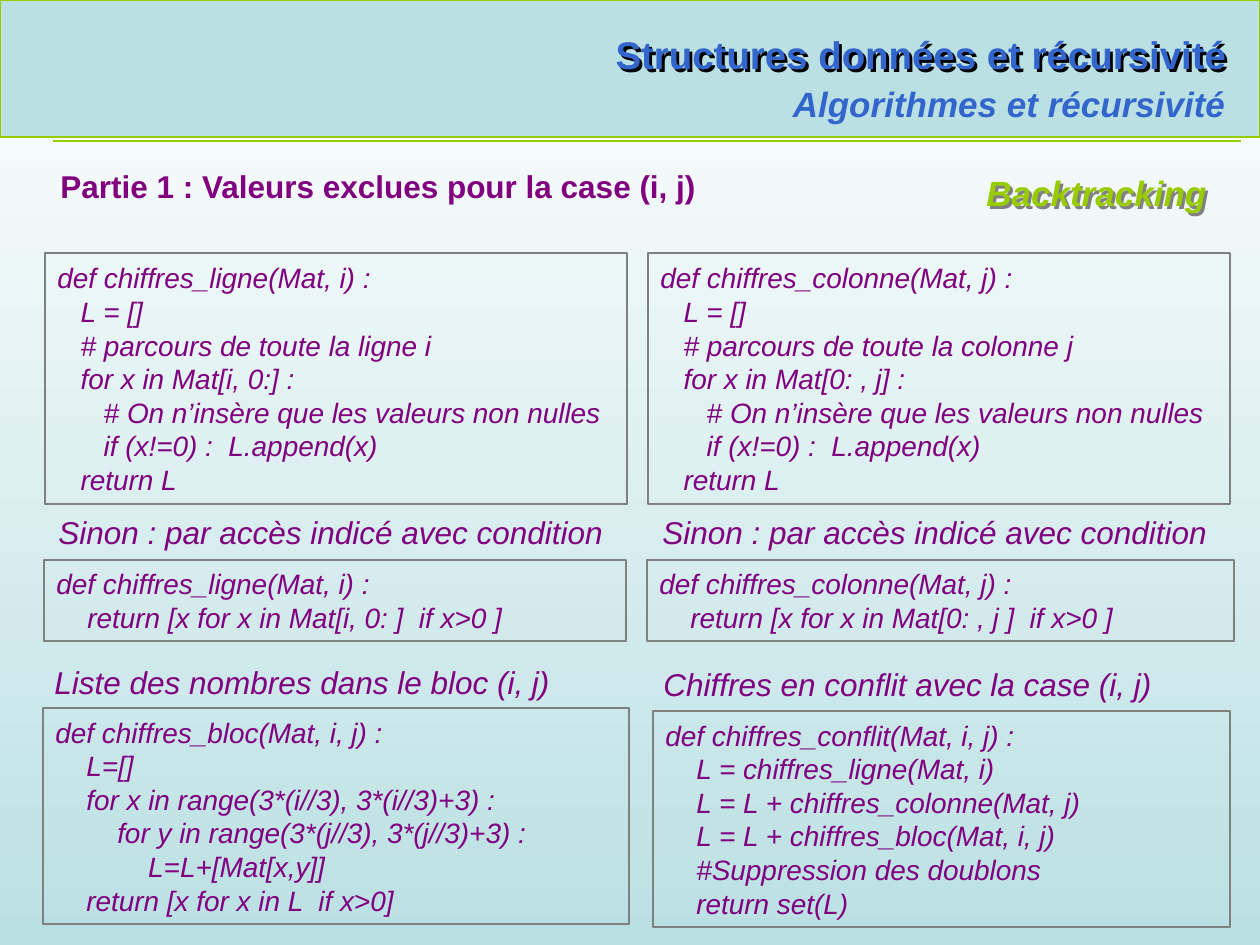
from dataclasses import dataclass

from lxml import etree
from pptx import Presentation
from pptx.dml.color import RGBColor
from pptx.enum.shapes import MSO_CONNECTOR, MSO_SHAPE
from pptx.enum.text import MSO_ANCHOR, MSO_AUTO_SIZE, PP_ALIGN
from pptx.oxml.ns import qn
from pptx.util import Pt

LEFT, RIGHT = PP_ALIGN.LEFT, PP_ALIGN.RIGHT
TOP, MIDDLE = MSO_ANCHOR.TOP, MSO_ANCHOR.MIDDLE
FIXED = MSO_AUTO_SIZE.NONE
RECT = MSO_SHAPE.RECTANGLE
STRAIGHT = MSO_CONNECTOR.STRAIGHT
SCALE = 914400 / 126


@dataclass(frozen=True)
class Theme:
    face: str = "Arial"
    white: str = "FFFFFF"
    sky: str = "BBE0E3"
    lime: str = "99CC00"
    blue: str = "3366CC"
    plum: str = "800080"
    gray: str = "808080"
    black: str = "000000"
    title: int = 22
    sub: int = 20
    head: int = 18
    code: int = 16
    thin: float = 0.75
    frame: float = 1.25


@dataclass(frozen=True)
class Box:
    x: int
    y: int
    w: int
    h: int


@dataclass(frozen=True)
class Label:
    box: Box
    text: str


@dataclass(frozen=True)
class Code:
    box: Box
    lines: list[str]


THEME = Theme()


def emu(px: int) -> int:
    return round(px * SCALE)


def rgb(value: str) -> RGBColor:
    return RGBColor.from_string(value)


def apply(item, form: dict) -> None:
    for key, value in form.items():
        setattr(item, key, value)


def place(shape, box: Box) -> None:
    apply(shape, {"left": emu(box.x), "top": emu(box.y),
                  "width": emu(box.w), "height": emu(box.h)})


def write(shape, lines: list[str], size: int, color: str, bold: bool = False,
          slant: bool = False, align=LEFT, anchor=TOP) -> None:
    frame = shape.text_frame
    apply(frame, {"word_wrap": True, "auto_size": FIXED,
                  "vertical_anchor": anchor})
    frame.text = "\n".join(lines)
    for para in frame.paragraphs:
        para.alignment = align
        for run in para.runs:
            apply(run.font, {"name": THEME.face, "size": Pt(size),
                             "bold": bold, "italic": slant})
            run.font.color.rgb = rgb(color)


def effects(shape):
    return etree.SubElement(shape._element.spPr, qn("a:effectLst"))


def shade(shape, color: str, gap: int) -> None:
    cast = etree.SubElement(effects(shape), qn("a:outerShdw"),
                            dist=str(emu(gap)), dir="2700000",
                            algn="ctr", rotWithShape="0")
    etree.SubElement(cast, qn("a:srgbClr"), val=color)


def stroke(shape, color: str, width: float) -> None:
    shape.line.color.rgb = rgb(color)
    shape.line.width = Pt(width)


def add_rect(slide, box: Box, color: str, width: float):
    shape = slide.shapes.add_shape(RECT, 0, 0, 0, 0)
    place(shape, box)
    stroke(shape, color, width)
    shape.shadow.inherit = False
    return shape


def add_label(slide, label: Label, size: int, color: str, **form):
    shape = slide.shapes.add_textbox(0, 0, 0, 0)
    place(shape, label.box)
    write(shape, [label.text], size, color, **form)
    return shape


def add_code(slide, code: Code) -> None:
    shape = add_rect(slide, code.box, THEME.gray, THEME.frame)
    shape.fill.background()
    write(shape, code.lines, THEME.code, THEME.plum, slant=True, anchor=MIDDLE)


def long_form(name: str, arg: str, part: str) -> list[str]:
    return [f"def chiffres_{name}(Mat, {arg}) :",
            "   L = []",
            f"   # parcours de toute la {name} {arg}",
            f"   for x in Mat[{part}] :",
            "      # On n’insère que les valeurs non nulles",
            "      if (x!=0) :  L.append(x)",
            "   return L"]


def short_form(name: str, arg: str, part: str) -> list[str]:
    return [f"def chiffres_{name}(Mat, {arg}) :",
            f"    return [x for x in Mat[{part} ]  if x>0 ]"]


BLOCK = ["def chiffres_bloc(Mat, i, j) :",
         "    L=[]",
         "    for x in range(3*(i//3), 3*(i//3)+3) :",
         "        for y in range(3*(j//3), 3*(j//3)+3) :",
         "            L=L+[Mat[x,y]]",
         "    return [x for x in L  if x>0]"]
CLASH = ["def chiffres_conflit(Mat, i, j) :",
         "    L = chiffres_ligne(Mat, i)",
         "    L = L + chiffres_colonne(Mat, j)",
         "    L = L + chiffres_bloc(Mat, i, j)",
         "    #Suppression des doublons",
         "    return set(L)"]
CODES = [Code(Box(45, 253, 582, 251), long_form("ligne", "i", "i, 0:")),
         Code(Box(648, 253, 582, 251), long_form("colonne", "j", "0: , j")),
         Code(Box(44, 560, 582, 81), short_form("ligne", "i", "i, 0:")),
         Code(Box(647, 560, 587, 81), short_form("colonne", "j", "0: , j")),
         Code(Box(43, 708, 586, 216), BLOCK),
         Code(Box(653, 711, 577, 216), CLASH)]
ELSE = "Sinon : par accès indicé avec condition"
HEADS = [Label(Box(46, 507, 583, 50), ELSE),
         Label(Box(650, 507, 583, 50), ELSE),
         Label(Box(42, 657, 547, 50), "Liste des nombres dans le bloc (i, j)"),
         Label(Box(651, 659, 518, 50), "Chiffres en conflit avec la case (i, j)")]


def add_top(slide) -> None:
    band = add_rect(slide, Box(0, 0, 1260, 137), THEME.lime, THEME.thin)
    band.fill.solid()
    band.fill.fore_color.rgb = rgb(THEME.sky)
    slide.shapes._spTree.insert(2, band._element)
    title = slide.shapes.title
    place(title, Box(588, 25, 651, 59))
    write(title, ["Structures données et récursivité"], THEME.title,
          THEME.blue, bold=True, align=RIGHT)
    shade(title, THEME.black, 4)
    add_label(slide, Label(Box(769, 76, 469, 55), "Algorithmes et récursivité"),
              THEME.sub, THEME.blue, bold=True, slant=True, align=RIGHT)
    rule = slide.shapes.add_connector(STRAIGHT, emu(53), emu(141),
                                      emu(1241), emu(141))
    stroke(rule, THEME.lime, THEME.thin)
    effects(rule)
    topic = add_label(slide, Label(Box(690, 165, 529, 54), "Backtracking"),
                      THEME.sub, THEME.lime, bold=True, slant=True, align=RIGHT)
    shade(topic, THEME.gray, 4)
    part = Label(Box(48, 161, 668, 50),
                 "Partie 1 : Valeurs exclues pour la case (i, j)")
    add_label(slide, part, THEME.head, THEME.plum, bold=True)


def main() -> None:
    deck = Presentation()
    apply(deck, {"slide_width": emu(1260), "slide_height": emu(945)})
    slide = deck.slides.add_slide(deck.slide_layouts[5])
    fill = slide.background.fill
    fill.gradient()
    fill.gradient_angle = 270
    for stop, color in zip(fill.gradient_stops, (THEME.white, THEME.sky)):
        stop.color.rgb = rgb(color)
    add_top(slide)
    for code in CODES:
        add_code(slide, code)
    for head in HEADS:
        add_label(slide, head, THEME.head, THEME.plum, slant=True)
    deck.save("out.pptx")


if __name__ == "__main__":
    main()
